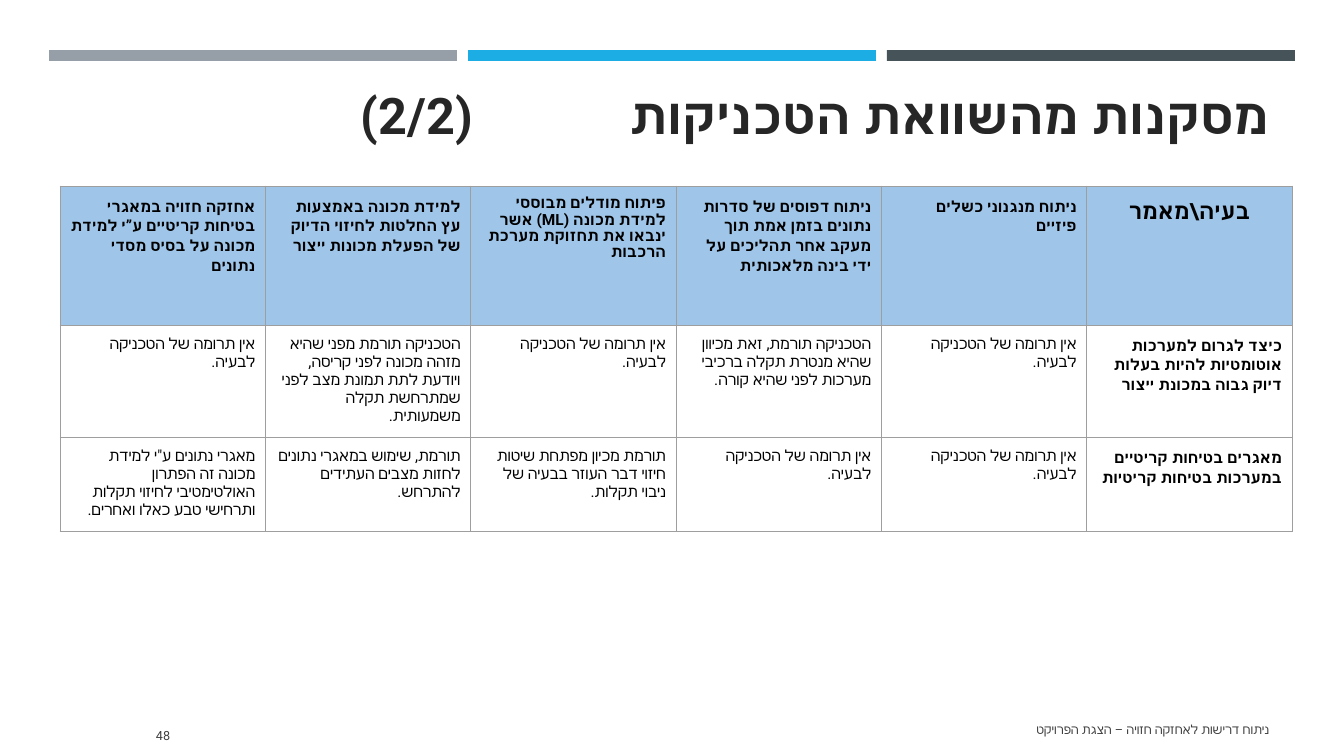
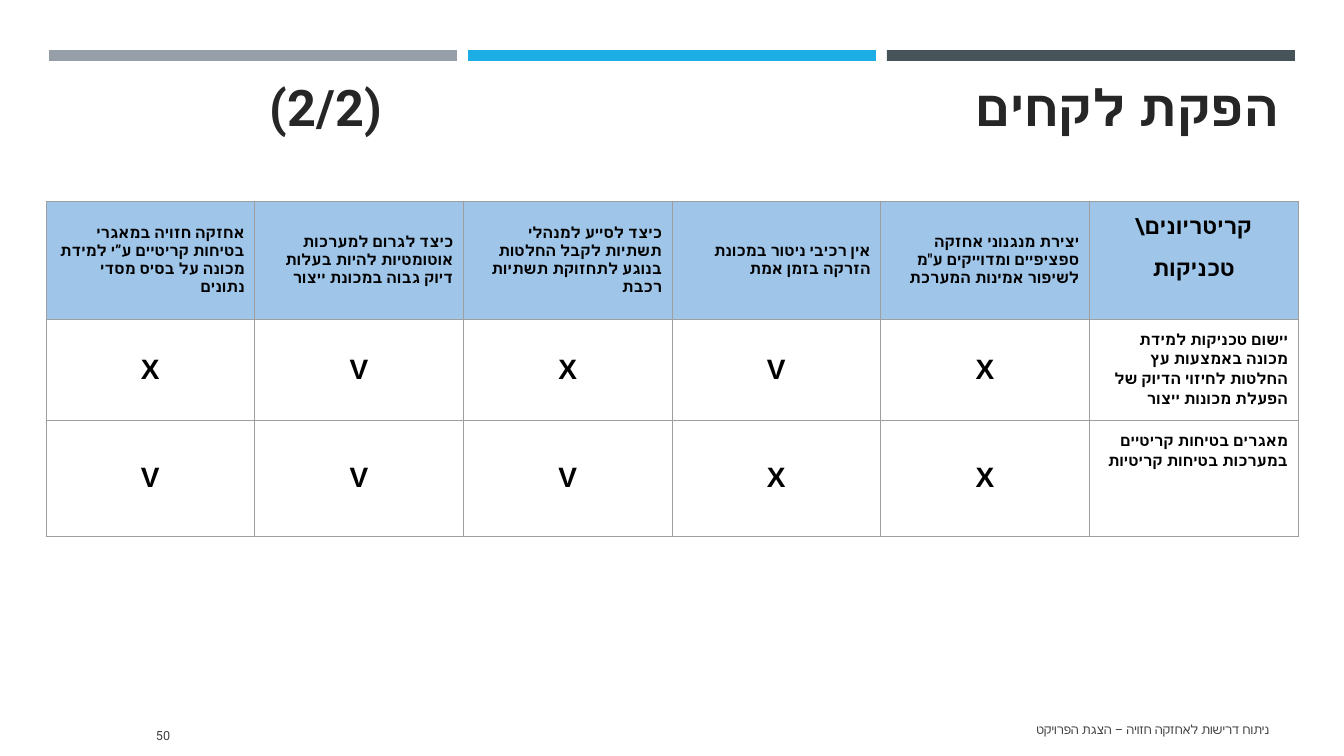
import dataclasses

import pptx
import pptx.dml.color
import pptx.enum.shapes
import pptx.enum.text
import pptx.oxml
import pptx.oxml.ns
import pptx.util
from lxml import etree

ALIGN = pptx.enum.text.PP_ALIGN
ANCHOR = pptx.enum.text.MSO_ANCHOR
PX = 914400 / 100.8
FOOTER = "ניתוח דרישות לאחזקה חזויה – הצגת הפרויקט"
NO_GAIN = "אין תרומה של הטכניקה לבעיה."
SAFETY = "מאגרים בטיחות קריטיים במערכות בטיחות קריטיות"
DATABASES = "אחזקה חזויה במאגרי בטיחות קריטיים ע”י למידת מכונה על בסיס מסדי נתונים"
ACCURACY = "כיצד לגרום למערכות אוטומטיות להיות בעלות דיוק גבוה במכונת ייצור"


def px(length):
    return pptx.util.Emu(round(length * PX))


def color(value):
    return pptx.dml.color.RGBColor.from_string(value)


@dataclasses.dataclass
class TextStyle:
    size: int = 11
    bold: bool = True
    ink: str = "000000"
    font: str = "Roboto"
    align: ALIGN = ALIGN.RIGHT
    anchor: ANCHOR = ANCHOR.TOP
    spacing: float = 1.0
    rtl: bool = True
    fill: str = ""


HEAD_FILL = "9FC5E8"
TITLE = TextStyle(size=36, ink="262626", anchor=ANCHOR.BOTTOM)
SMALL = TextStyle(size=9, bold=False, ink="3F3F3F", anchor=ANCHOR.MIDDLE)
HEAD = TextStyle(spacing=1.1, fill=HEAD_FILL)
TIGHT_HEAD = TextStyle(spacing=0.9, fill=HEAD_FILL)
MIDDLE_HEAD = TextStyle(anchor=ANCHOR.MIDDLE, fill=HEAD_FILL)
CORNER = TextStyle(size=16, align=ALIGN.CENTER, spacing=1.1, fill=HEAD_FILL)
LABEL = TextStyle(spacing=1.1)
NOTE = TextStyle(bold=False)
MARK = TextStyle(size=20, font="Arial", align=ALIGN.CENTER, anchor=ANCHOR.MIDDLE, rtl=False)


class SlideBuilder:
    bands = ("969FA7", "1CADE4", "465359")
    border = "9E9E9E"

    def __init__(self):
        self.deck = pptx.Presentation()
        self.deck.slide_width = px(1344)
        self.deck.slide_height = px(756)
        self.page = None

    def start(self, number):
        self.page = self.deck.slides.add_slide(self.deck.slide_layouts[5])
        for index, fill in enumerate(self.bands):
            self.band(49 + index * 419, 50, 408, 11, fill)
        self.text(517, 709, 762, 40, FOOTER)
        self.text(64, 716, 116, 40, number)

    def band(self, left, top, width, height, fill):
        kind = pptx.enum.shapes.MSO_SHAPE.RECTANGLE
        box = self.page.shapes.add_shape(kind, px(left), px(top), px(width), px(height))
        box.shadow.inherit = False
        box.fill.solid()
        box.fill.fore_color.rgb = color(fill)
        box.line.fill.background()

    def text(self, left, top, width, height, words):
        box = self.page.shapes.add_textbox(px(left), px(top), px(width), px(height))
        box.text_frame.word_wrap = True
        box.text_frame.vertical_anchor = SMALL.anchor
        self.set_text(box.text_frame, words, SMALL)

    def title(self, left, top, name, part, tab):
        box = self.page.shapes.title
        box.left, box.top, box.width, box.height = px(left), px(top), px(1216), px(72)
        frame = box.text_frame
        frame.auto_size = pptx.enum.text.MSO_AUTO_SIZE.NONE
        frame.vertical_anchor = TITLE.anchor
        self.set_text(frame, f"{name}\t{part}", TITLE, tab)

    def set_text(self, frame, words, style, tab=None):
        frame.text = words
        for index, para in enumerate(frame.paragraphs):
            para.alignment = style.align
            para.line_spacing = style.spacing
            para.space_before = pptx.util.Pt(9.6 if index else 0)
            properties = para._p.get_or_add_pPr()
            properties.set("rtl", str(int(style.rtl)))
            if tab:
                stops = etree.SubElement(properties, pptx.oxml.ns.qn("a:tabLst"))
                etree.SubElement(stops, pptx.oxml.ns.qn("a:tab"), pos=str(px(tab)), algn="l")
            for span in para.runs:
                span.font.size = pptx.util.Pt(style.size)
                span.font.bold = style.bold
                span.font.name = style.font
                span.font.color.rgb = color(style.ink)
                etree.SubElement(span._r.get_or_add_rPr(), pptx.oxml.ns.qn("a:cs"), typeface=style.font)

    def outline(self, cell):
        properties = cell._tc.get_or_add_tcPr()
        for side in ("lnL", "lnR", "lnT", "lnB"):
            line = etree.SubElement(properties, pptx.oxml.ns.qn(f"a:{side}"), w=str(pptx.util.Pt(0.75)))
            fill = etree.SubElement(line, pptx.oxml.ns.qn("a:solidFill"))
            etree.SubElement(fill, pptx.oxml.ns.qn("a:srgbClr"), val=self.border)

    def table(self, left, top, width, heights, rows):
        columns = len(rows[0][1])
        frame = self.page.shapes.add_table(
            len(rows), columns, px(left), px(top), px(width), px(sum(heights)))
        grid = frame.table
        grid.first_row = grid.horz_banding = False
        for row_index, (styles, texts) in enumerate(rows):
            grid.rows[row_index].height = px(heights[row_index])
            for column, (style, words) in enumerate(zip(styles, texts)):
                self.cell(grid.cell(row_index, column), words, style)

    def cell(self, cell, words, style):
        cell.margin_left = cell.margin_right = cell.margin_top = cell.margin_bottom = px(10)
        cell.vertical_anchor = style.anchor
        self.outline(cell)
        if style.fill:
            cell.fill.solid()
            cell.fill.fore_color.rgb = color(style.fill)
        else:
            cell.fill.background()
        self.set_text(cell.text_frame, words, style)


def technique_slide(builder):
    builder.start("48")
    builder.title(64, 78, "מסקנות מהשוואת הטכניקות", "(2/2)", 909)
    notes = [NOTE] * 5 + [LABEL]
    builder.table(60, 186, 1232, (139, 97, 90), [
        ([HEAD, HEAD, TIGHT_HEAD, HEAD, HEAD, CORNER], [
            DATABASES,
            "למידת מכונה באמצעות עץ החלטות לחיזוי הדיוק של הפעלת מכונות ייצור",
            "פיתוח מודלים מבוססי למידת מכונה (ML) אשר ינבאו את תחזוקת מערכת הרכבות",
            "ניתוח דפוסים של סדרות נתונים בזמן אמת תוך מעקב אחר תהליכים על ידי בינה מלאכותית",
            "ניתוח מנגנוני כשלים פיזיים",
            "בעיה\\מאמר",
        ]),
        (notes, [
            NO_GAIN,
            "הטכניקה תורמת מפני שהיא מזהה מכונה לפני קריסה, ויודעת לתת תמונת מצב לפני "
            "שמתרחשת תקלה משמעותית.",
            NO_GAIN,
            "הטכניקה תורמת, זאת מכיוון שהיא מנטרת תקלה ברכיבי מערכות לפני שהיא קורה.",
            NO_GAIN,
            ACCURACY,
        ]),
        (notes, [
            "מאגרי נתונים ע\"י למידת מכונה זה הפתרון האולטימטיבי לחיזוי תקלות ותרחישי טבע "
            "כאלו ואחרים.",
            "תורמת, שימוש במאגרי נתונים לחזות מצבים העתידים להתרחש.",
            "תורמת מכיון מפתחת שיטות חיזוי דבר העוזר בבעיה של ניבוי תקלות.",
            NO_GAIN,
            NO_GAIN,
            SAFETY,
        ]),
    ])


def lessons_slide(builder):
    builder.start("50")
    builder.title(73, 70, "הפקת לקחים", "(2/2)", 1009)
    marks = [MARK] * 5 + [LABEL]
    builder.table(46, 201, 1252, (118, 88, 116), [
        ([MIDDLE_HEAD] * 5 + [CORNER], [
            DATABASES,
            ACCURACY,
            "כיצד לסייע למנהלי תשתיות לקבל החלטות בנוגע לתחזוקת תשתיות רכבת",
            "אין רכיבי ניטור במכונת הזרקה בזמן אמת",
            "יצירת מנגנוני אחזקה ספציפיים ומדוייקים ע\"מ לשיפור אמינות המערכת",
            "קריטריונים\\\nטכניקות",
        ]),
        (marks, [
            *"XVXVX",
            "יישום טכניקות למידת מכונה באמצעות עץ החלטות לחיזוי הדיוק של הפעלת מכונות ייצור",
        ]),
        (marks, [*"VVVXX", SAFETY]),
    ])


def main():
    builder = SlideBuilder()
    technique_slide(builder)
    lessons_slide(builder)
    builder.deck.save("out.pptx")


if __name__ == "__main__":
    main()
